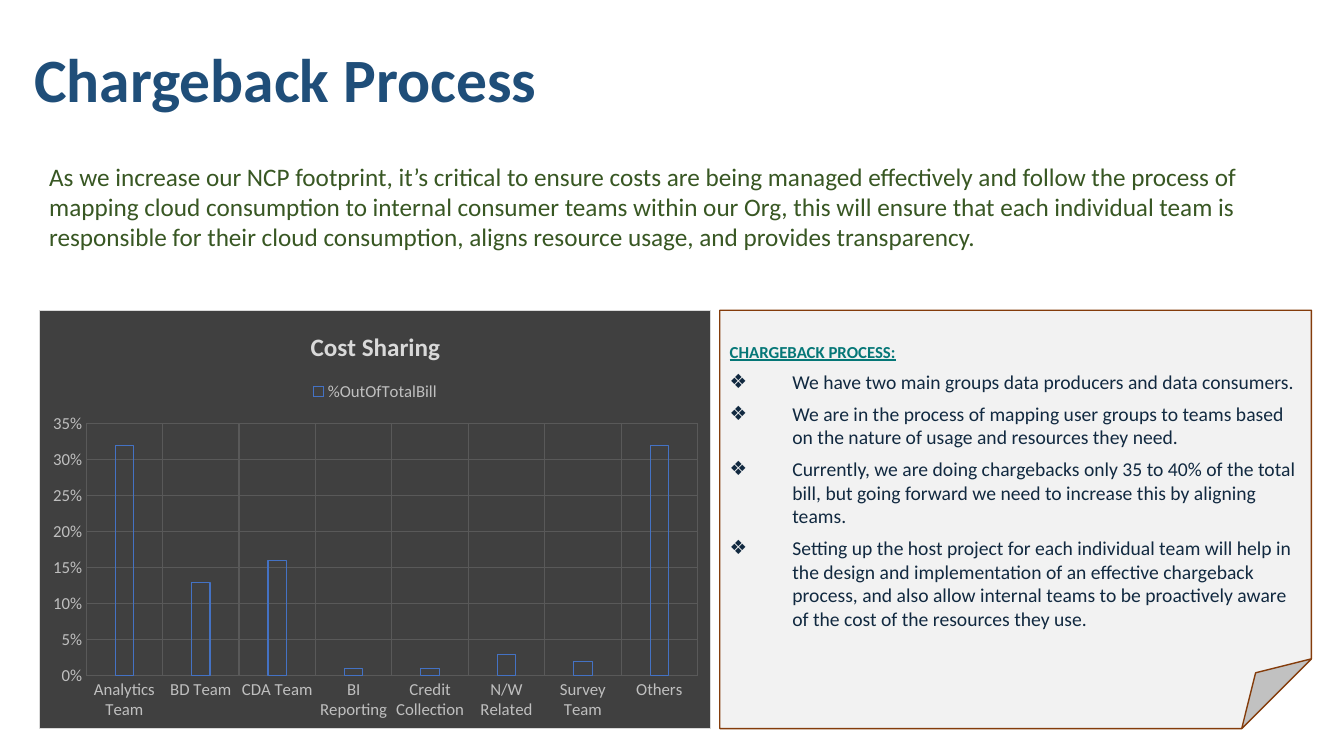
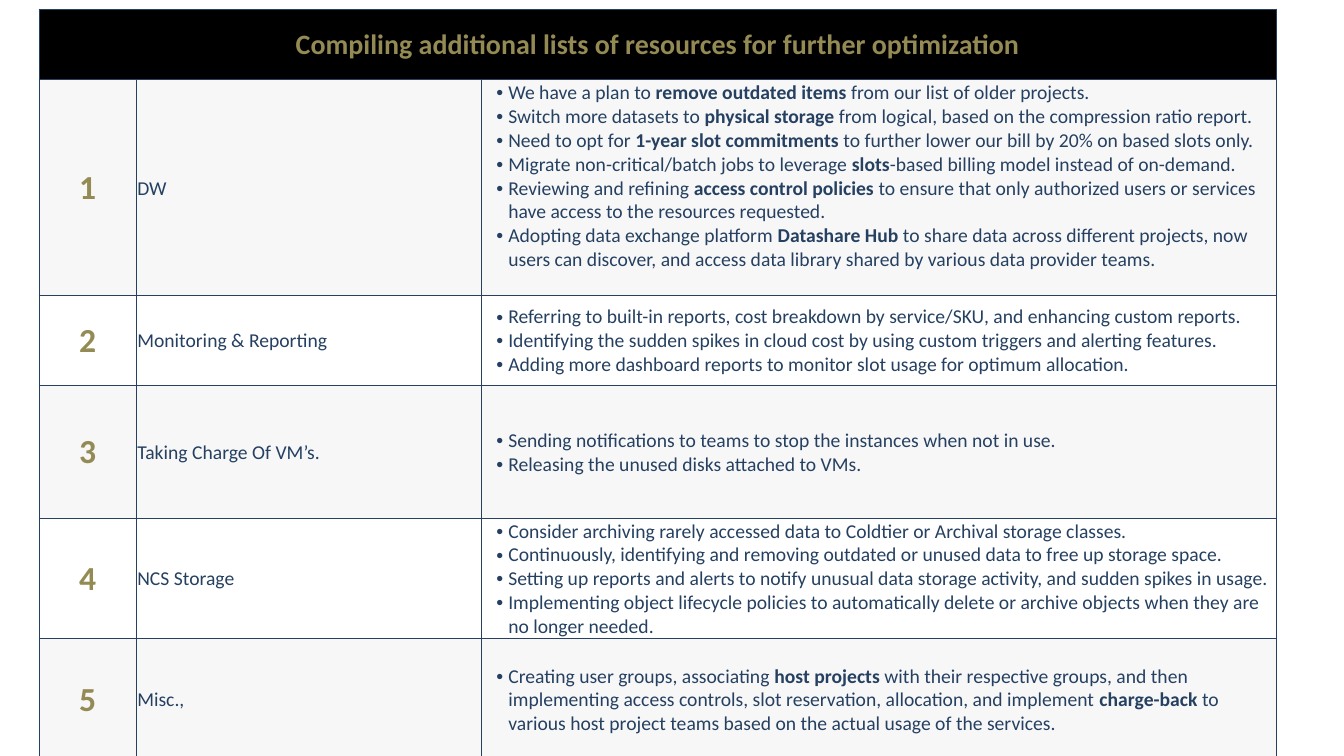
from lxml import etree
from pptx import Presentation
from pptx import util as u
from pptx.chart import data as cd
from pptx.dml import color
from pptx.enum import chart as ec, shapes, text
from pptx.oxml import parse_xml, ns

FONT = "Calibri"
COLORS = {
    "title": "1F4E79", "intro": "385723", "dark": "404040", "grid": "595959",
    "label": "BFBFBF", "light": "D9D9D9", "bar": "4472C4", "note": "F2F2F2",
    "rust": "843C0B", "teal": "057777", "ink": "112940", "gold": "948A54",
    "navy": "254061", "black": "000000", "band": "F7F7F7",
}
MARGIN = 0.99
PANEL_TOP, PANEL_HEIGHT = 7.82, 10.54

INTRO = (
    "As we increase our NCP footprint, it’s critical to ensure costs are being managed "
    "effectively and follow the process of mapping cloud consumption to internal consumer "
    "teams within our Org, this will ensure that each individual team is responsible for "
    "their cloud consumption, aligns resource usage, and provides transparency."
)
SHARES = {
    "Analytics Team": 0.32, "BD Team": 0.13, "CDA Team": 0.16, "BI Reporting": 0.01,
    "Credit Collection": 0.01, "N/W Related": 0.03, "Survey Team": 0.02, "Others": 0.32,
}
NOTES = [
    "We have two main groups data producers and data consumers.",
    "We are in the process of mapping user groups to teams based on the nature of usage "
    "and resources they need.",
    "Currently, we are doing chargebacks only 35 to 40% of the total bill, but going "
    "forward we need to increase this by aligning teams.",
    "Setting up the host project for each individual team will help in the design and "
    "implementation of an effective chargeback process, and also allow internal teams to "
    "be proactively aware of the cost of the resources they use.",
]
HEADING = "Compiling additional lists of resources for further optimization"
HEADING_HEIGHT = 1.78
COLUMN_WIDTHS = [2.44, 8.71, 20.02]
RESOURCES = [
    ("DW", 5.44, 0.61, [
        "We have a plan to *remove outdated items *from our list of older projects.",
        "Switch more datasets to *physical storage *from logical, based on the compression "
        "ratio report.",
        "Need to opt for *1-year slot commitments *to further lower our bill by 20% on "
        "based slots only.",
        "Migrate non-critical/batch jobs to leverage *slots*-based billing model instead "
        "of on-demand.",
        "Reviewing and refining *access control policies *to ensure that only authorized "
        "users or services have access to the resources requested.",
        "Adopting data exchange platform *Datashare Hub *to share data across different "
        "projects, now users can discover, and access data library shared by various data "
        "provider teams.",
    ]),
    ("Monitoring & Reporting", 2.26, 0, [
        "Referring to built-in reports, cost breakdown by service/SKU, and enhancing "
        "custom reports.",
        "Identifying the sudden spikes in cloud cost by using custom triggers and alerting "
        "features.",
        "Adding more dashboard reports to monitor slot usage for optimum allocation.",
    ]),
    ("Taking Charge Of VM’s.", 3.35, 0, [
        "Sending notifications to teams to stop the instances when not in use.",
        "Releasing the unused disks attached to VMs.",
    ]),
    ("NCS Storage", 3.02, 0, [
        "Consider archiving rarely accessed data to Coldtier or Archival storage classes.",
        "Continuously, identifying and removing outdated or unused data to free up storage "
        "space.",
        "Setting up reports and alerts to notify unusual data storage activity, and sudden "
        "spikes in usage.",
        "Implementing object lifecycle policies to automatically delete or archive objects "
        "when they are no longer needed.",
    ]),
    ("Misc.,", 3.1, 0, [
        "Creating user groups, associating *host projects *with their respective groups, "
        "and then implementing access controls, slot reservation, allocation, and implement "
        "*charge-back* to various host project teams based on the actual usage of the "
        "services.",
    ]),
]


def rgb(name):
    return color.RGBColor.from_string(COLORS[name])


def style_font(font, size, tint, bold=False, underline=False):
    font.name, font.size, font.bold = FONT, u.Pt(size), bold
    font.color.rgb = rgb(tint)
    if underline:
        font.underline = True


def style_line(line, tint, width):
    line.color.rgb = rgb(tint)
    line.width = u.Pt(width)


def write(tf, content, size=14, tint="navy", bold=False, underline=False,
          align=text.PP_ALIGN.LEFT, after=0, spacing=None, bullet=None, indent=0, hang=0):
    p = tf.paragraphs[0]
    if p.runs:
        p = tf.add_paragraph()
    p.alignment, p.space_after = align, u.Pt(after)
    if spacing:
        p.line_spacing = spacing
    if bullet:
        props = p._p.get_or_add_pPr()
        props.set("marL", str(u.Cm(indent)))
        props.set("indent", str(-u.Cm(hang)))
        etree.SubElement(props, ns.qn("a:buFont")).set("typeface", "Arial")
        etree.SubElement(props, ns.qn("a:buChar")).set("char", bullet)
    for i, part in enumerate(content.split("*")):
        if part:
            r = p.add_run()
            r.text = part
            style_font(r.font, size, tint, bold or i % 2 == 1, underline)


def add_text(slide, box, content, anchor=text.MSO_ANCHOR.TOP, **fmt):
    tf = slide.shapes.add_textbox(*map(u.Cm, box)).text_frame
    tf.word_wrap, tf.vertical_anchor = True, anchor
    write(tf, content, **fmt)


def add_cost_chart(slide, box):
    source = cd.CategoryChartData(number_format="0%")
    source.categories = list(SHARES)
    source.add_series("%OutOfTotalBill", list(SHARES.values()))
    chart = slide.shapes.add_chart(
        ec.XL_CHART_TYPE.COLUMN_CLUSTERED, *map(u.Cm, box), source).chart
    style_font(chart.font, 10, "label")
    frame = parse_xml(
        f'<c:spPr {ns.nsdecls("c", "a")}>'
        f'<a:solidFill><a:srgbClr val="{COLORS["dark"]}"/></a:solidFill>'
        f'<a:ln w="9525"><a:solidFill><a:srgbClr val="{COLORS["light"]}"/></a:solidFill>'
        '</a:ln></c:spPr>')
    chart._chartSpace.find(ns.qn("c:txPr")).addprevious(frame)

    chart.has_title = True
    title = chart.chart_title
    title.include_in_layout = False
    write(title.text_frame, "Cost Sharing", size=18, tint="light", bold=True,
          align=text.PP_ALIGN.CENTER)
    chart.has_legend = True
    chart.legend.position = ec.XL_LEGEND_POSITION.TOP
    chart.legend.include_in_layout = False
    style_font(chart.legend.font, 12, "label")

    for axis in (chart.category_axis, chart.value_axis):
        axis.has_major_gridlines = True
        style_line(axis.major_gridlines.format.line, "grid", 0.75)
        axis.major_tick_mark = axis.minor_tick_mark = ec.XL_TICK_MARK.NONE
        axis.format.line.fill.background()
        style_font(axis.tick_labels.font, 12, "label")
    labels = chart.value_axis.tick_labels
    labels.number_format, labels.number_format_is_linked = "0%", False
    chart.value_axis.minimum_scale, chart.value_axis.maximum_scale = 0, 0.35
    chart.value_axis.major_unit = 0.05

    plot = chart.plots[0]
    plot.vary_by_categories, plot.gap_width, plot.overlap = False, 315, -40
    bars = plot.series[0]
    bars.format.fill.background()
    style_line(bars.format.line, "bar", 0.75)


def add_process_note(slide, box):
    sp = slide.shapes.add_shape(shapes.MSO_SHAPE.FOLDED_CORNER, *map(u.Cm, box))
    sp.shadow.inherit = False
    sp.fill.solid()
    sp.fill.fore_color.rgb = rgb("note")
    style_line(sp.line, "rust", 1)
    tf = sp.text_frame
    tf.word_wrap, tf.vertical_anchor = True, text.MSO_ANCHOR.TOP
    tf.margin_top = u.Cm(0.78)
    write(tf, "CHARGEBACK PROCESS:", size=12, tint="teal", bold=True, underline=True, after=6)
    for note in NOTES:
        write(tf, note, tint="ink", after=6, bullet="❖", indent=1.58, hang=1.58)


def format_cell(cell, fill=None, bottom=0):
    cell.vertical_anchor = text.MSO_ANCHOR.MIDDLE
    cell.margin_left = cell.margin_right = cell.margin_top = u.Cm(0.03)
    cell.margin_bottom = u.Cm(bottom)
    props = cell._tc.get_or_add_tcPr()
    for side in "LRTB":
        props.append(parse_xml(
            f'<a:ln{side} {ns.nsdecls("a")} w="12700"><a:solidFill>'
            f'<a:srgbClr val="{COLORS["navy"]}"/></a:solidFill></a:ln{side}>'))
    if fill:
        cell.fill.solid()
        cell.fill.fore_color.rgb = rgb(fill)
    else:
        cell.fill.background()


def add_resource_table(slide, left, top):
    heights = [HEADING_HEIGHT] + [row[1] for row in RESOURCES]
    table = slide.shapes.add_table(
        len(heights), len(COLUMN_WIDTHS), u.Cm(left), u.Cm(top),
        u.Cm(sum(COLUMN_WIDTHS)), u.Cm(sum(heights))).table
    table.first_row = table.horz_banding = False
    for column, width in zip(table.columns, COLUMN_WIDTHS):
        column.width = u.Cm(width)
    for row, height in zip(table.rows, heights):
        row.height = u.Cm(height)

    last = len(COLUMN_WIDTHS) - 1
    for cell in table.rows[0].cells:
        format_cell(cell, "black")
    table.cell(0, 0).merge(table.cell(0, last))
    gold = dict(tint="gold", bold=True, align=text.PP_ALIGN.CENTER)
    write(table.cell(0, 0).text_frame, HEADING, size=20, **gold)

    for n, (name, _, bottom, actions) in enumerate(RESOURCES, 1):
        number, topic, detail = table.rows[n].cells
        fill = "band" if n % 2 else None
        format_cell(number, fill)
        format_cell(topic, fill)
        format_cell(detail, fill, bottom)
        write(number.text_frame, str(n), size=24, **gold)
        write(topic.text_frame, name)
        for action in actions:
            write(detail.text_frame, action, bullet="•", indent=0.64, hang=0.3)


def build_chargeback_slide(slide):
    add_text(slide, (0.61, 0.25, 29.21, 3.68), "Chargeback Process",
             anchor=text.MSO_ANCHOR.MIDDLE, size=44, tint="title", bold=True, spacing=0.9)
    add_cost_chart(slide, (MARGIN, PANEL_TOP, 16.94, PANEL_HEIGHT))
    add_process_note(slide, (18.14, PANEL_TOP, 14.91, PANEL_HEIGHT))
    add_text(slide, (MARGIN, 3.94, 31.37, 2.57), INTRO, size=18, tint="intro")


def build_resources_slide(slide):
    add_resource_table(slide, MARGIN, 0.23)


def main():
    prs = Presentation()
    prs.slide_width, prs.slide_height = u.Cm(33.87), u.Cm(19.05)
    for build in (build_chargeback_slide, build_resources_slide):
        build(prs.slides.add_slide(prs.slide_layouts[6]))
    prs.save("out.pptx")


if __name__ == "__main__":
    main()
